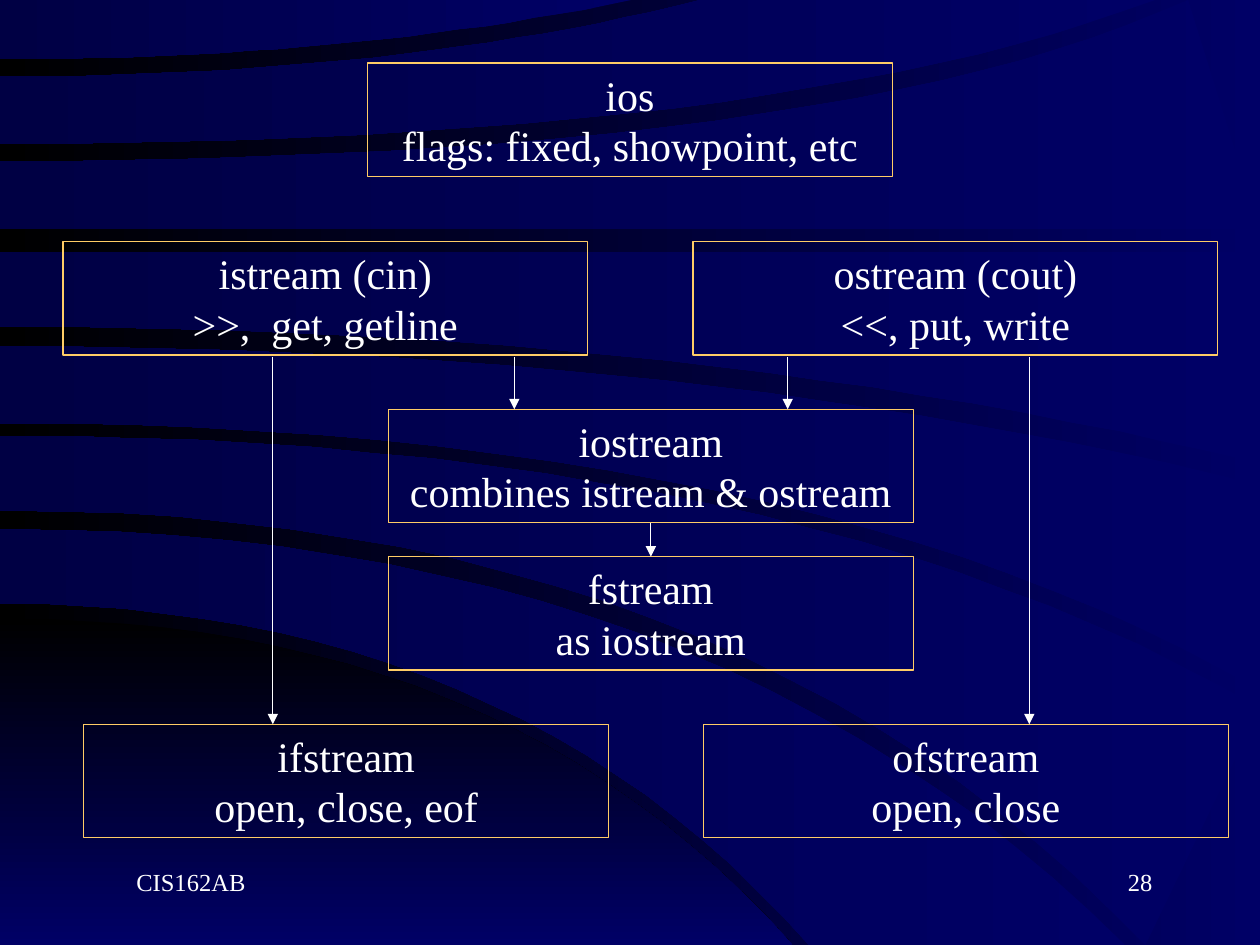
import pptx
import pptx.util
import pptx.dml.color
import pptx.enum.shapes
import pptx.enum.text
import pptx.oxml
import pptx.oxml.ns

Cm = pptx.util.Cm
Pt = pptx.util.Pt
ALIGN = pptx.enum.text.PP_ALIGN

COLORS = {"navy": "000066", "dark": "000044", "black": "000000",
          "gold": "FFCC66", "white": "FFFFFF"}
FONT = "Times New Roman"
BOX_WIDTH, BOX_HEIGHT = 10.58, 2.29
CURVE_UNIT = Cm(0.0254)  # curves are given in 1/100 inch
CURVE_STEPS = 24

# An edge leaves the left side level: left y, bend x, end x, end y.
# A band lies between its upper and its lower edge.
SWELL = ((491, 401, 629, 750), (750, 300, 629, 750))
BANDS = [
    ((420, 563, 893, 750), (479, 405, 642, 750)),
    ((346, 626, 1000, 562), (405, 582, 909, 750)),
    ((275, 554, 1000, 385), (336, 634, 1000, 548)),
    ((200, 500, 1000, 200), (259, 558, 1000, 368)),
    ((128, 664, 943, 0), (182, 500, 1000, 182)),
    ((61, 316, 556, 0), (114, 612, 917, 0)),
    ((0, 250, 501, 0), (47, 274, 501, 0)),
]

# Stream classes: left, top, text
CLASSES = {
    "ios": (7.41, 1.27, "ios\nflags: fixed, showpoint, etc"),
    "ostream": (13.97, 4.87, "ostream (cout)\n<<, put, write"),
    "istream": (1.27, 4.87, "istream (cin)\n>>,  get, getline"),
    "iostream": (7.83, 8.25, "iostream\ncombines istream & ostream"),
    "fstream": (7.83, 11.22, "fstream\nas iostream"),
    "ifstream": (1.69, 14.6, "ifstream\nopen, close, eof"),
    "ofstream": (14.18, 14.6, "ofstream\nopen, close"),
}

# Vertical arrows below the upper classes: x, end
ARROW_TOP = 7.2
ARROWS = [(5.5, 14.6), (20.75, 14.6), (10.37, 8.25), (15.88, 8.25)]


def color(name):
    return pptx.dml.color.RGBColor.from_string(COLORS[name])


def set_gradient(fill, first, last, angle):
    fill.gradient()
    fill.gradient_angle = angle
    for stop, name in zip(fill.gradient_stops, (first, last)):
        stop.color.rgb = color(name)


def set_text(shape, text, size=24, align=ALIGN.CENTER, spacing=None, indent=0):
    frame = shape.text_frame
    frame.word_wrap = True
    frame.vertical_anchor = pptx.enum.text.MSO_ANCHOR.TOP
    paragraph = frame.paragraphs[0]
    paragraph.text = text
    paragraph.alignment = align
    if spacing:
        paragraph.line_spacing = Pt(spacing)
    if indent:
        paragraph._p.get_or_add_pPr().set("marL", str(Cm(indent)))
    for run in paragraph.runs:
        run.font.name = FONT
        run.font.size = Pt(size)
        run.font.color.rgb = color("white")


def edge_points(left_y, bend_x, end_x, end_y):
    """Points of a quadratic curve that starts level at the left side."""
    points = []
    for step in range(CURVE_STEPS + 1):
        t = step / CURVE_STEPS
        x = 2 * t * (1 - t) * bend_x + t * t * end_x
        y = left_y + t * t * (end_y - left_y)
        points.append((round(x), round(y)))
    return points


def add_band(slide, edges, first, last, angle):
    upper, lower = (edge_points(*edge) for edge in edges)
    builder = slide.shapes.build_freeform(*upper[0], scale=CURVE_UNIT)
    builder.add_line_segments(upper[1:] + lower[::-1], close=True)
    shape = builder.convert_to_shape()
    shape.shadow.inherit = False
    shape.line.fill.background()
    set_gradient(shape.fill, first, last, angle)


def add_class_box(slide, left, top, text):
    shape = slide.shapes.add_shape(
        pptx.enum.shapes.MSO_SHAPE.RECTANGLE,
        Cm(left), Cm(top), Cm(BOX_WIDTH), Cm(BOX_HEIGHT))
    shape.shadow.inherit = False
    shape.fill.background()
    shape.line.color.rgb = color("gold")
    shape.line.width = Pt(0.75)
    set_text(shape, text, spacing=28.8)
    return shape


def add_arrow(slide, x, top, bottom):
    connector = slide.shapes.add_connector(
        pptx.enum.shapes.MSO_CONNECTOR.STRAIGHT,
        Cm(x), Cm(top), Cm(x), Cm(bottom))
    connector.line.color.rgb = color("white")
    connector.line.width = Pt(0.75)
    namespace = pptx.oxml.ns.nsdecls("a")
    connector.line._get_or_add_ln().append(
        pptx.oxml.parse_xml(f'<a:tailEnd {namespace} type="triangle"/>'))
    connector._element.spPr.append(
        pptx.oxml.parse_xml(f"<a:effectLst {namespace}/>"))
    return connector


def add_footer(slide, left, text, **text_format):
    box = slide.shapes.add_textbox(Cm(left), Cm(17.35), Cm(5.28), Cm(1.27))
    set_text(box, text, size=14, **text_format)


def main():
    presentation = pptx.Presentation()
    presentation.slide_width, presentation.slide_height = Cm(25.4), Cm(19.05)
    slide = presentation.slides.add_slide(presentation.slide_layouts[6])

    # Backdrop
    set_gradient(slide.background.fill, "navy", "black", 180)
    add_band(slide, SWELL, "black", "navy", 270)
    for edges in BANDS:
        add_band(slide, edges, "navy", "dark", 180)

    # Class hierarchy
    boxes = {name: add_class_box(slide, *box) for name, box in CLASSES.items()}
    for x, bottom in ARROWS:
        add_arrow(slide, x, ARROW_TOP, bottom)
    joined = add_arrow(slide, 13.12, 10.54, 11.22)
    joined.begin_connect(boxes["iostream"], 2)
    joined.end_connect(boxes["fstream"], 0)

    # Footer
    add_footer(slide, 18.2, "28", align=ALIGN.RIGHT)
    add_footer(slide, 1.9, "CIS162AB", align=ALIGN.LEFT, indent=0.6)

    presentation.save("out.pptx")


if __name__ == "__main__":
    main()
